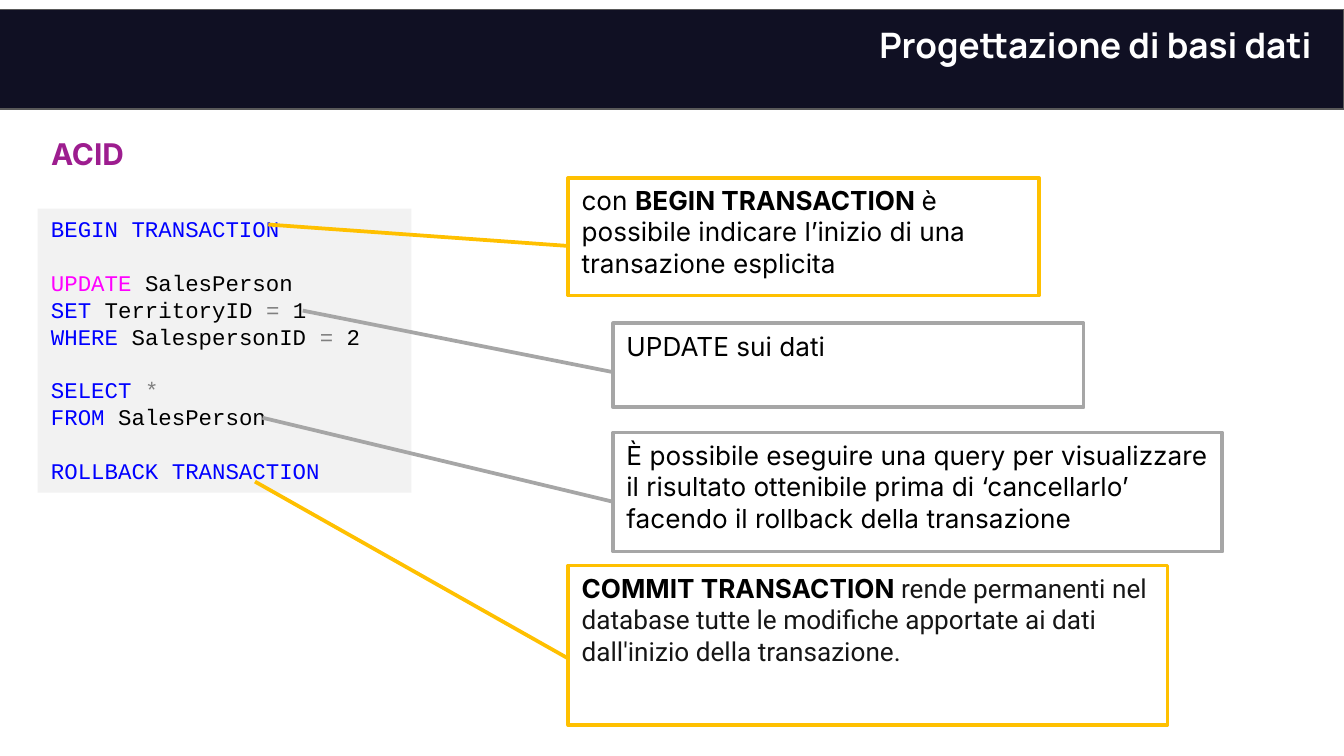
from lxml import etree
from pptx import Presentation
from pptx.dml.color import RGBColor
from pptx.enum.shapes import MSO_SHAPE
from pptx.enum.text import MSO_ANCHOR, MSO_AUTO_SIZE, PP_ALIGN
from pptx.oxml.ns import qn
from pptx.util import Pt

RECTANGLE = MSO_SHAPE.RECTANGLE
CALLOUT = MSO_SHAPE.LINE_CALLOUT_1
TOP, MIDDLE = MSO_ANCHOR.TOP, MSO_ANCHOR.MIDDLE
LEFT, RIGHT, JUSTIFY = PP_ALIGN.LEFT, PP_ALIGN.RIGHT, PP_ALIGN.JUSTIFY
GROW = MSO_AUTO_SIZE.SHAPE_TO_FIT_TEXT
NO_FIT = MSO_AUTO_SIZE.NONE
TITLE_ONLY = 5
EMU_PER_PX = 9525
CODE_SIZE = 12

COLORS = {
    "band": "101023", "band_line": "595959", "white": "FFFFFF",
    "heading": "9D1D8F", "panel": "F2F2F2", "text": "000000",
    "soft_text": "161616", "keyword": "0000FF", "update": "FF00FF",
    "operator": "808080", "yellow": "FFC000", "gray": "A6A6A6",
}

CODE = [
    [("BEGIN TRANSACTION", "keyword")],
    [],
    [("UPDATE", "update"), (" SalesPerson", "text")],
    [("SET", "keyword"), (" TerritoryID ", "text"), ("=", "operator"), (" 1", "text")],
    [("WHERE", "keyword"), (" SalespersonID ", "text"), ("=", "operator"), (" 2", "text")],
    [],
    [("SELECT ", "keyword"), ("*", "operator")],
    [("FROM", "keyword"), (" SalesPerson", "text")],
    [],
    [("ROLLBACK TRANSACTION", "keyword")],
]

CALLOUTS = [
    ((406, 127, 336, 84), (0.398, -0.638), "yellow", [
        ("con ", "Inter", "text", False),
        ("BEGIN TRANSACTION ", "Inter", "text", True),
        ("è possibile indicare l’inizio di una transazione esplicita", "Inter", "text", False)]),
    ((406, 404, 428, 114), (-0.526, -0.523), "yellow", [
        ("COMMIT TRANSACTION ", "Inter", "text", True),
        ("rende permanenti nel database tutte le modifiche apportate ai dati "
         "dall'inizio della transazione.", "Roboto", "soft_text", False)]),
    ((438, 231, 336, 60), (-0.152, -0.66), "gray", [
        ("UPDATE sui dati", "Inter", "text", False)]),
    ((438, 309, 435, 85), (-0.125, -0.576), "gray", [
        ("È possibile eseguire una query per visualizzare il risultato ottenibile "
         "prima di ‘cancellarlo’ facendo il rollback della transazione",
         "Inter", "text", False)]),
]


def px(value):
    return value * EMU_PER_PX


def color(name):
    return RGBColor.from_string(COLORS[name])


def add_run(paragraph, text, font_name, size, color_name, bold=False):
    run = paragraph.add_run()
    run.text = text
    run.font.name = font_name
    run.font.size = Pt(size)
    run.font.bold = bold
    run.font.color.rgb = color(color_name)


def set_frame(text_frame, anchor, auto_size=NO_FIT):
    text_frame.word_wrap = True
    text_frame.auto_size = auto_size
    text_frame.vertical_anchor = anchor


def add_box(slide, kind, box, fill=None, line=None, line_width=1):
    shape = slide.shapes.add_shape(kind, *map(px, box))
    shape.shadow.inherit = False
    if fill:
        shape.fill.solid()
        shape.fill.fore_color.rgb = color(fill)
    else:
        shape.fill.background()
    if line:
        shape.line.color.rgb = color(line)
        shape.line.width = Pt(line_width)
    else:
        shape.line.fill.background()
    return shape


def add_title_band(slide):
    band = add_box(slide, RECTANGLE, (-1, 7, 961, 71), "band", "band_line", 0.75)
    title = slide.shapes.title
    title.element.addprevious(band.element)
    title.left, title.top, title.width, title.height = map(px, (439, 7, 508, 34))
    set_frame(title.text_frame, TOP)
    title.text_frame.margin_top = title.text_frame.margin_bottom = px(10)
    paragraph = title.text_frame.paragraphs[0]
    paragraph.alignment = RIGHT
    add_run(paragraph, "Progettazione di basi dati", "Manrope", 18.8, "white", True)


def add_heading(slide):
    text_frame = slide.shapes.add_textbox(*map(px, (27, 88, 888, 39))).text_frame
    set_frame(text_frame, MIDDLE, GROW)
    paragraph = text_frame.paragraphs[0]
    paragraph.alignment = JUSTIFY
    paragraph.line_spacing = 1.15
    add_run(paragraph, "ACID", "Inter", 16, "heading", True)


def add_code(slide):
    text_frame = add_box(slide, RECTANGLE, (27, 149, 267, 203), "panel").text_frame
    set_frame(text_frame, TOP, GROW)
    for index, line in enumerate(CODE):
        paragraph = text_frame.add_paragraph() if index else text_frame.paragraphs[0]
        paragraph.alignment = LEFT
        for text, color_name in line:
            add_run(paragraph, text, "Courier New", CODE_SIZE, color_name)
        if not line:
            mark = etree.SubElement(paragraph._p, qn("a:endParaRPr"), sz=str(CODE_SIZE * 100))
            etree.SubElement(mark, qn("a:latin"), typeface="Courier New")


def add_callout(slide, box, target, line, runs):
    shape = add_box(slide, CALLOUT, box, line=line, line_width=2)
    for index, value in enumerate((0.579, -0.002, *target)):
        shape.adjustments[index] = value
    set_frame(shape.text_frame, TOP)
    paragraph = shape.text_frame.paragraphs[0]
    paragraph.alignment = LEFT
    for text, font_name, color_name, bold in runs:
        add_run(paragraph, text, font_name, 14, color_name, bold)


def main():
    presentation = Presentation()
    presentation.slide_width, presentation.slide_height = px(960), px(540)
    slide = presentation.slides.add_slide(presentation.slide_layouts[TITLE_ONLY])
    add_title_band(slide)
    add_heading(slide)
    add_code(slide)
    for callout in CALLOUTS:
        add_callout(slide, *callout)
    presentation.save("out.pptx")


if __name__ == "__main__":
    main()
